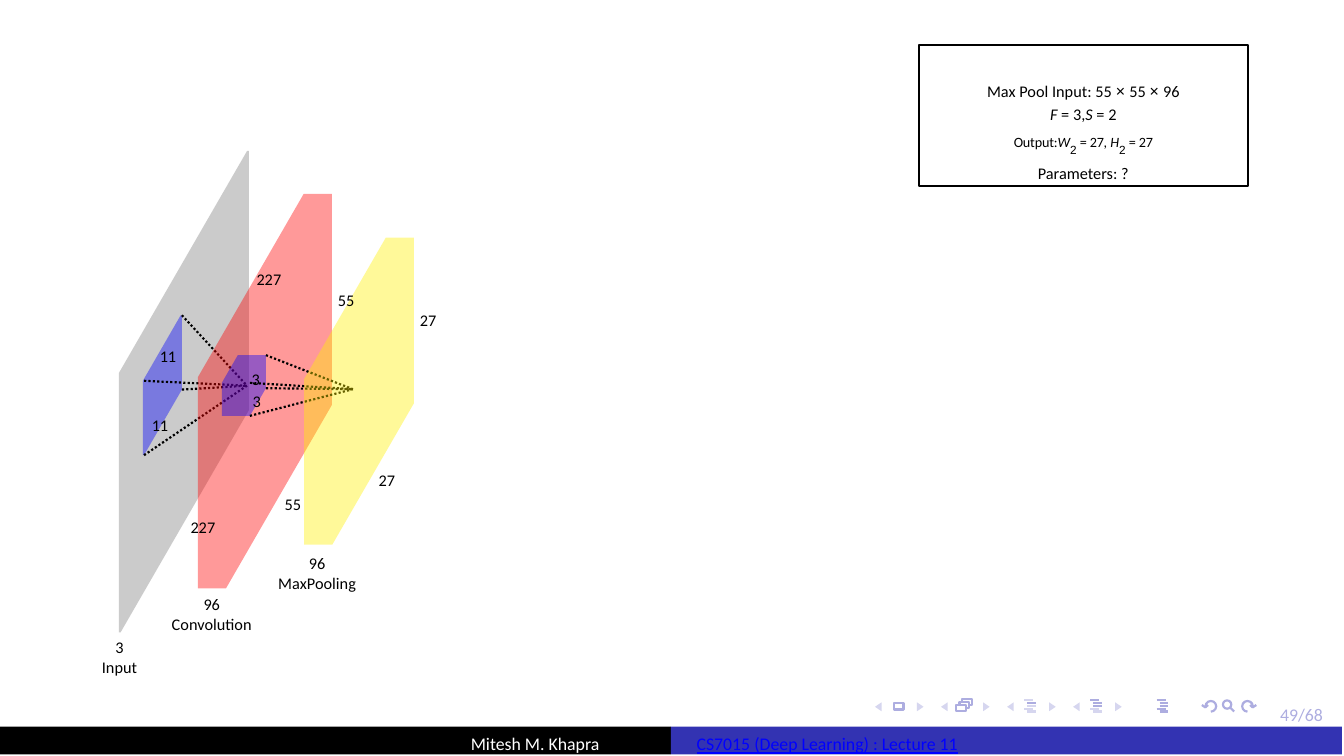
import math
from dataclasses import dataclass

from lxml import etree
from pptx import Presentation
from pptx.dml.color import RGBColor
from pptx.enum import dml, shapes, text
from pptx.oxml.ns import qn
from pptx.util import Pt

COLOURS = {
    "ink": "000000", "white": "FFFFFF", "bar": "3333B2", "link": "0000FF",
    "input": "7F7F7F", "kernel": "0000FF", "convolution": "FF0000",
    "pooling": "FFF200", "strong": "ADADE0", "pale": "D6D6EF",
}
SLOPE = math.sqrt(3)
LINE_HEIGHT = 1.22
LABEL_SIZE = 5.5
LABEL_WIDTH = 40


@dataclass
class Box:
    left: float
    top: float
    width: float
    height: float


@dataclass
class Slab:
    """A sheared block: its outer bounds and the depth of its left side."""
    left: float
    top: float
    right: float
    bottom: float
    depth: float
    colour: str

    def rise(self):
        return (self.right - self.left - self.depth) * SLOPE

    def face(self):
        """Front corners: upper left, upper right, lower right, lower left."""
        near = self.left + self.depth
        return [(near, self.top + self.rise()), (self.right, self.top),
                (self.right, self.bottom - self.rise()), (near, self.bottom)]

    def outline(self):
        _, upper, lower, foot = self.face()
        return [upper, (self.right - self.depth, self.top),
                (self.left, self.top + self.rise()),
                (self.left, self.bottom), foot, lower]


def rgb(name):
    return RGBColor.from_string(COLOURS[name])


def add_outline(page, box, points, fill=None, line=None, closed=True, alpha=None):
    spots = [(Pt(box.left + x), Pt(box.top + y)) for x, y in points]
    builder = page.shapes.build_freeform(*spots[0])
    builder.add_line_segments(spots[1:], close=closed)
    shape = builder.convert_to_shape()
    shape.shadow.inherit = False
    if fill:
        shape.fill.solid()
        shape.fill.fore_color.rgb = rgb(fill)
        if alpha:
            colour = shape.element.spPr.find(".//" + qn("a:srgbClr"))
            etree.SubElement(colour, qn("a:alpha"), val=str(alpha * 1000))
    else:
        shape.fill.background()
    if line:
        shape.line.color.rgb = rgb(line)
        shape.line.width = Pt(0.75)
    else:
        shape.line.fill.background()


def add_line(page, box, start, end, colour, dash=None):
    (x1, y1), (x2, y2) = start, end
    line = page.shapes.add_connector(
        shapes.MSO_CONNECTOR.STRAIGHT, Pt(box.left + x1), Pt(box.top + y1),
        Pt(box.left + x2), Pt(box.top + y2))
    line.line.color.rgb = rgb(colour)
    line.line.width = Pt(0.75)
    line.line.dash_style = dash
    etree.SubElement(line.element.spPr, qn("a:effectLst"))


def add_rectangle(page, box):
    shape = page.shapes.add_shape(shapes.MSO_SHAPE.RECTANGLE, Pt(box.left),
                                  Pt(box.top), Pt(box.width), Pt(box.height))
    shape.shadow.inherit = False
    return shape


def clear_margins(frame):
    frame.margin_left = frame.margin_right = frame.margin_top = frame.margin_bottom = 0
    frame.word_wrap = True
    frame.vertical_anchor = text.MSO_ANCHOR.TOP


def add_label(page, box, words, x, y, size=LABEL_SIZE, colour="ink",
              width=LABEL_WIDTH, centred=True):
    """Place lines of text; y is the middle of the first, x the centre or left edge."""
    lines = words.split("\n")
    left = box.left + x - (width / 2 if centred else 0)
    height = size * LINE_HEIGHT
    label = page.shapes.add_textbox(Pt(left), Pt(box.top + y - height / 2),
                                    Pt(width), Pt(height * len(lines)))
    frame = label.text_frame
    clear_margins(frame)
    frame.text = words
    for index, para in enumerate(frame.paragraphs):
        para.alignment = text.PP_ALIGN.CENTER if centred else text.PP_ALIGN.LEFT
        para.space_before = Pt(0.2 if index else 0)
        for span in para.runs:
            span.font.size = Pt(size)
            span.font.name = "Calibri"
            span.font.color.rgb = rgb(colour)
    return label


def draw_network(page, box):
    layers = [Slab(0.2, 1, 44.2, 163.8, 0.6, "input"),
              Slab(26.9, 15.6, 72.2, 149, 9.5, "convolution"),
              Slab(62.8, 30.4, 99.9, 134.2, 9.5, "pooling")]
    kernels = [Slab(8.3, 56.6, 21.5, 103.9, 0.4, "kernel"),
               Slab(35, 70.1, 49.9, 90.6, 9.5, "kernel")]
    targets = [(43.5, 80.4), (79.3, 81.6)]
    for layer, kernel, target in zip(layers, kernels, targets):
        for slab in (layer, kernel):
            add_outline(page, box, slab.outline(), slab.colour, alpha=40)
        for corner in kernel.face():
            add_line(page, box, corner, target, "ink", dml.MSO_LINE.ROUND_DOT)
    add_outline(page, box, layers[-1].outline(), layers[-1].colour, alpha=40)

    labels = [("227", 50.9, 44.3), ("55", 77, 51.4), ("27", 104.7, 58.2),
              ("11", 16.8, 70.3), ("3", 46.5, 78.1), ("3", 46.8, 85.6),
              ("11", 14.1, 93.7), ("27", 90.8, 112.3), ("55", 59, 120.4),
              ("227", 28.6, 128.1), ("96\nMaxPooling", 67.2, 140.3),
              ("96\nConvolution", 31.6, 154.2), ("3\nInput", 0.4, 168.7)]
    for words, x, y in labels:
        add_label(page, box, words, x, y)


def draw_summary(page, box):
    normal = {"size": LABEL_SIZE, "font": "Calibri"}
    sign = {**normal, "font": "Noto Sans"}
    slanted = {**normal, "italic": True}
    raised = {**normal, "size": 8.2, "baseline": 30}
    raised_slanted = {**raised, "italic": True}
    index = {"size": 4, "font": "Arial"}
    lines = [
        (0, [("Max Pool Input: 55 ", normal), ("× ", sign), ("55 ", normal),
             ("× ", sign), ("96", normal)]),
        (1.3, [("F ", slanted), ("= 3,", normal), ("S ", slanted), ("= 2", normal)]),
        (2.2, [("Output:", raised), ("W", raised_slanted), ("2 ", index),
               ("= 27", raised), (", H", raised_slanted), ("2 ", index),
               ("= 27", raised)]),
        (1.1, [("Parameters: ?", normal)]),
    ]
    shape = add_rectangle(page, box)
    shape.fill.background()
    shape.line.color.rgb = rgb("ink")
    shape.line.width = Pt(0.75)
    frame = shape.text_frame
    clear_margins(frame)
    frame.margin_top = Pt(12.2)
    for number, (gap, spans) in enumerate(lines):
        para = frame.add_paragraph() if number else frame.paragraphs[0]
        para.alignment = text.PP_ALIGN.CENTER
        para.space_before = Pt(gap)
        for words, style in spans:
            span = para.add_run()
            span.text = words
            span.font.size = Pt(style["size"])
            span.font.name = style["font"]
            span.font.italic = style.get("italic", False)
            span.font.color.rgb = rgb("ink")
            if "baseline" in style:
                span.font._element.set("baseline", str(style["baseline"] * 1000))


def draw_navigation(page, box):
    pitch, middle = 22.33, 2.2
    for step in range(4):
        for tip, base in ((0, 2.2), (16.4, 14.2)):
            x = step * pitch
            add_outline(page, box, [(x + tip, middle), (x + base, middle - 1.5),
                                    (x + base, middle + 1.5)], "pale")

    def sheet(x, y):
        return [(x, y), (x, y - 2.1), (x + 3.2, y - 2.1), (x + 3.2, y)]

    add_outline(page, box, sheet(6.4, 3.1), line="strong")
    add_outline(page, box, sheet(27.5, 3.7), line="strong")
    for shift in (1, 2):
        x, y = 27.5 + shift, 3.7 - shift
        corners = [(x, y - 1.1)] + sheet(x, y)[1:] + [(x + 2.2, y)]
        add_outline(page, box, corners, line="strong", closed=False)

    for x, strong in ((50.4, {1}), (72.8, {0, 1, 2}), (95.2, set(range(5)))):
        for row in range(5):
            start = x + (0 if row in (0, 3) else 1)
            add_line(page, box, (start, row * 0.95), (start + 3, row * 0.95),
                     "strong" if row in strong else "pale")

    def arc(x, y, radius, sweep, side=1):
        angles = [math.radians(90 - turn) for turn in range(0, sweep + 1, 30)]
        return [(x + side * radius * math.cos(a), y + radius * math.sin(a))
                for a in angles]

    add_outline(page, box, arc(119, 1.4, 1.4, 330), line="strong")
    add_line(page, box, (120, 2.4), (121.4, 3.8), "strong")
    for x, side in ((113.5, 1), (125.9, -1)):
        add_outline(page, box, arc(x, 2, 1.8, 270, side), line="strong", closed=False)
        head = [(x - side * dx, y) for dx, y in ((0.9, 1.6), (1.8, 2.4), (3, 1.6))]
        add_outline(page, box, head, line="strong", closed=False)


def draw_footer(page, box):
    half = box.width / 2
    for index, colour in enumerate(("ink", "bar")):
        bar = add_rectangle(page, Box(box.left + index * half, box.top, half, box.height))
        bar.fill.solid()
        bar.fill.fore_color.rgb = rgb(colour)
        bar.line.fill.background()
    add_label(page, box, "49/68", 432.7, -4.2, 6, "strong", 20, False)
    add_label(page, box, "Mitesh M. Khapra", 159.2, 5.8, 6, "white", 61, False)
    course = add_label(page, box, "CS7015 (Deep Learning) : Lecture 11",
                       235.5, 5.8, 6, "link", 122, False)
    course.text_frame.paragraphs[0].runs[0].font.underline = True


def main():
    deck = Presentation()
    deck.slide_width, deck.slide_height = Pt(454.32), Pt(255.6)
    page = deck.slides.add_slide(deck.slide_layouts[6])
    draw_navigation(page, Box(295.8, 236.8, 130, 4))
    draw_network(page, Box(40, 50, 110, 180))
    draw_summary(page, Box(310.6, 15.2, 111.2, 47.6))
    draw_footer(page, Box(0, 245.7, 453.6, 9.4))
    deck.save("out.pptx")


if __name__ == "__main__":
    main()
